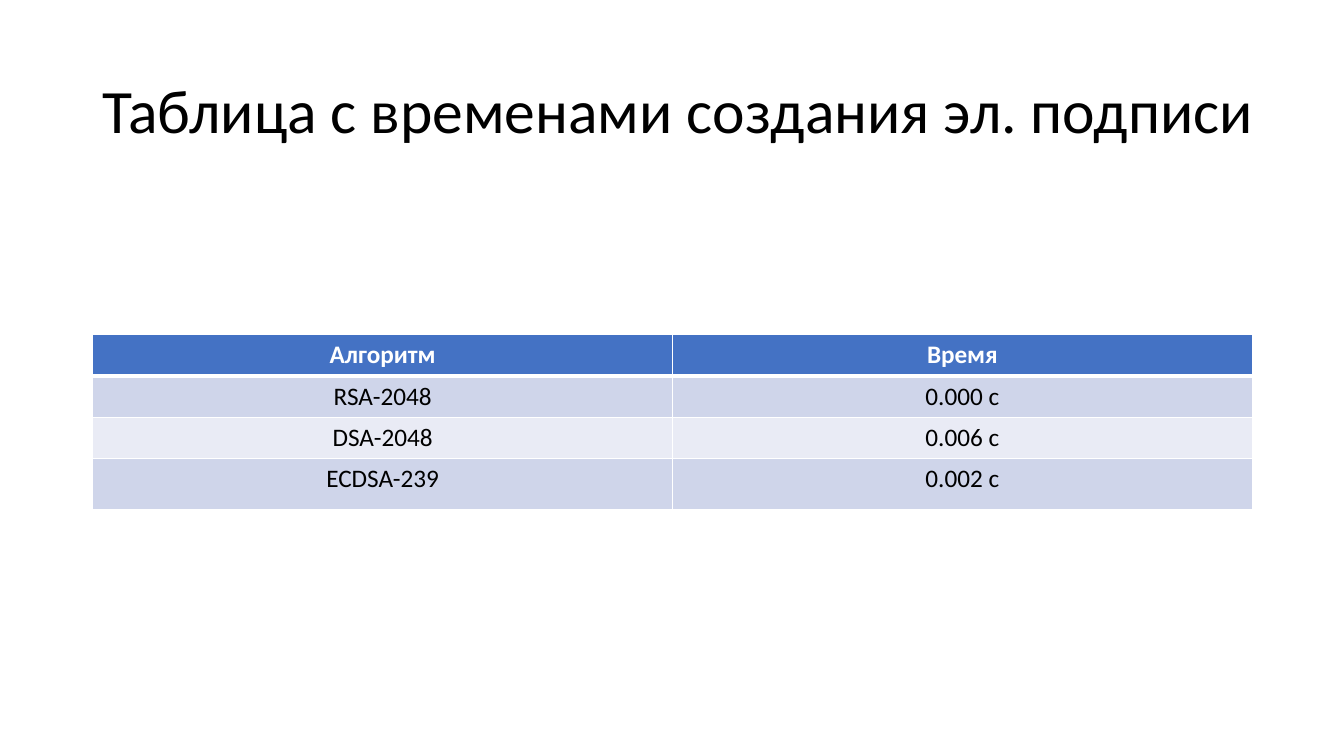
"""Build a slide with a table of digital signature creation times."""
from dataclasses import dataclass

from lxml import etree
from pptx import Presentation
from pptx.dml.color import RGBColor
from pptx.enum.text import MSO_ANCHOR, PP_ALIGN
from pptx.oxml.ns import qn
from pptx.slide import Slide
from pptx.table import _Cell
from pptx.text.text import TextFrame
from pptx.util import Inches, Pt

LEFT, CENTER = PP_ALIGN.LEFT, PP_ALIGN.CENTER
MIDDLE = MSO_ANCHOR.MIDDLE


@dataclass(frozen=True)
class Theme:
    font: str = "Calibri"
    title_size: int = 44
    body_size: int = 18
    black: str = "000000"
    white: str = "FFFFFF"
    header: str = "4472C4"
    bands: tuple[str, str] = ("CFD5EA", "E9EBF5")
    thin: int = 1
    thick: int = 3


@dataclass(frozen=True)
class Row:
    algorithm: str
    time: str
    height: float = 0.41


THEME = Theme()
TITLE = "Таблица с временами создания эл. подписи"
MARGIN = 0.92
TABLE_TOP = 3.32
COLUMN_WIDTH = 5.75
ROWS = [
    Row("Алгоритм", "Время"),
    Row("RSA-2048", "0.000 c"),
    Row("DSA-2048", "0.006 c"),
    Row("ECDSA-239", "0.002 c", 0.51),
]


def write_text(tf: TextFrame, text: str, *, size: int, color: str,
               bold: bool = False, align: PP_ALIGN = LEFT,
               spacing: float = 1.0) -> None:
    p = tf.paragraphs[0]
    p.alignment = align
    p.line_spacing = spacing
    r = p.add_run()
    r.text = text
    r.font.name = THEME.font
    r.font.size = Pt(size)
    r.font.bold = bold
    r.font.color.rgb = RGBColor.from_string(color)


def set_borders(cell: _Cell, top: int, bottom: int) -> None:
    widths = {"lnL": THEME.thin, "lnR": THEME.thin, "lnT": top, "lnB": bottom}
    tc_pr = cell._tc.get_or_add_tcPr()
    for side, width in widths.items():
        line = etree.SubElement(tc_pr, qn(f"a:{side}"), w=str(Pt(width)))
        fill = etree.SubElement(line, qn("a:solidFill"))
        etree.SubElement(fill, qn("a:srgbClr"), val=THEME.white)


def add_title(s: Slide) -> None:
    sp = s.shapes.add_textbox(Inches(MARGIN), Inches(0.4), Inches(12.07), Inches(1.45))
    tf = sp.text_frame
    tf.word_wrap = True
    tf.vertical_anchor = MIDDLE
    write_text(tf, TITLE, size=THEME.title_size, color=THEME.black, spacing=0.9)


def add_times_table(s: Slide) -> None:
    height = sum(row.height for row in ROWS)
    table = s.shapes.add_table(
        len(ROWS), 2, Inches(MARGIN), Inches(TABLE_TOP),
        Inches(2 * COLUMN_WIDTH), Inches(height)).table
    for i, row in enumerate(ROWS):
        table.rows[i].height = Inches(row.height)
        is_header = i == 0
        background = THEME.header if is_header else THEME.bands[(i - 1) % 2]
        for j, text in enumerate((row.algorithm, row.time)):
            cell = table.cell(i, j)
            set_borders(cell, top=THEME.thick if i == 1 else THEME.thin,
                        bottom=THEME.thick if is_header else THEME.thin)
            cell.fill.solid()
            cell.fill.fore_color.rgb = RGBColor.from_string(background)
            write_text(cell.text_frame, text, size=THEME.body_size, bold=is_header,
                       color=THEME.white if is_header else THEME.black, align=CENTER)


def main() -> None:
    prs = Presentation()
    prs.slide_width, prs.slide_height = Inches(13.33), Inches(7.5)
    s = prs.slides.add_slide(prs.slide_layouts[6])
    add_title(s)
    add_times_table(s)
    prs.save("out.pptx")


if __name__ == "__main__":
    main()
